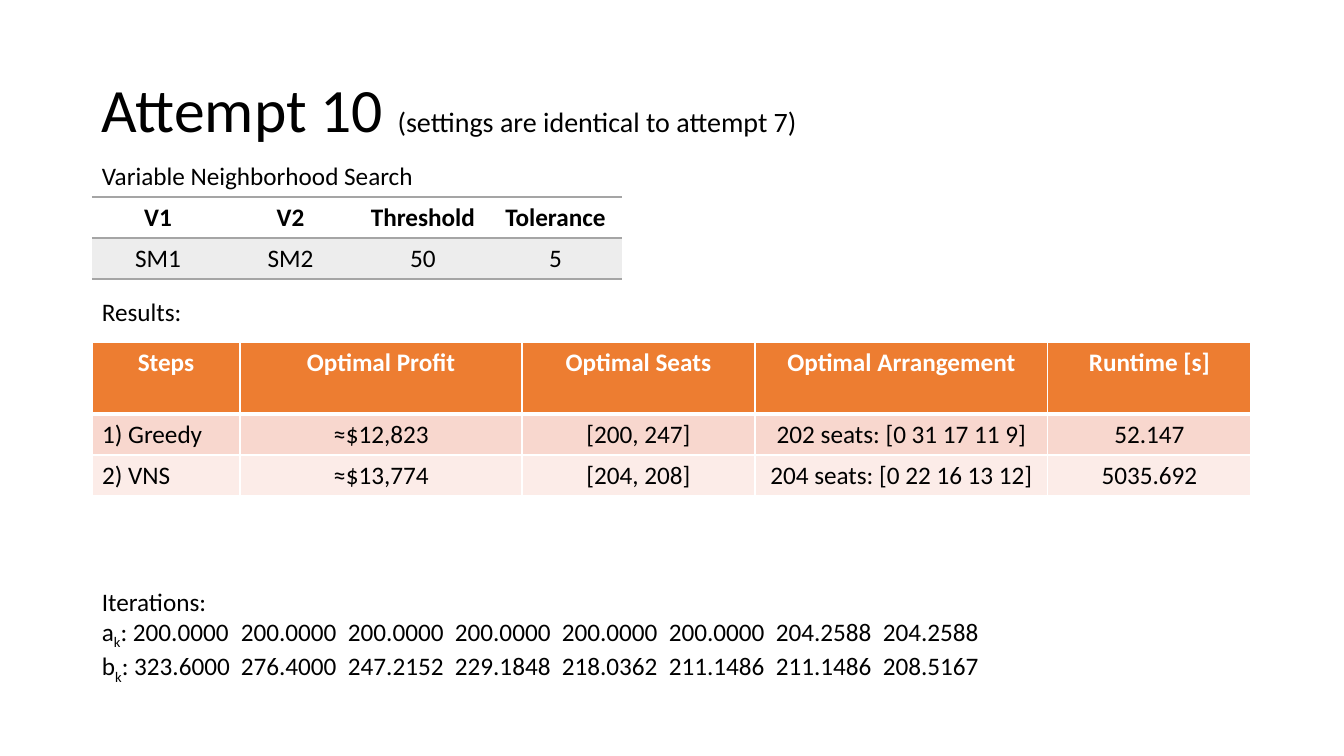
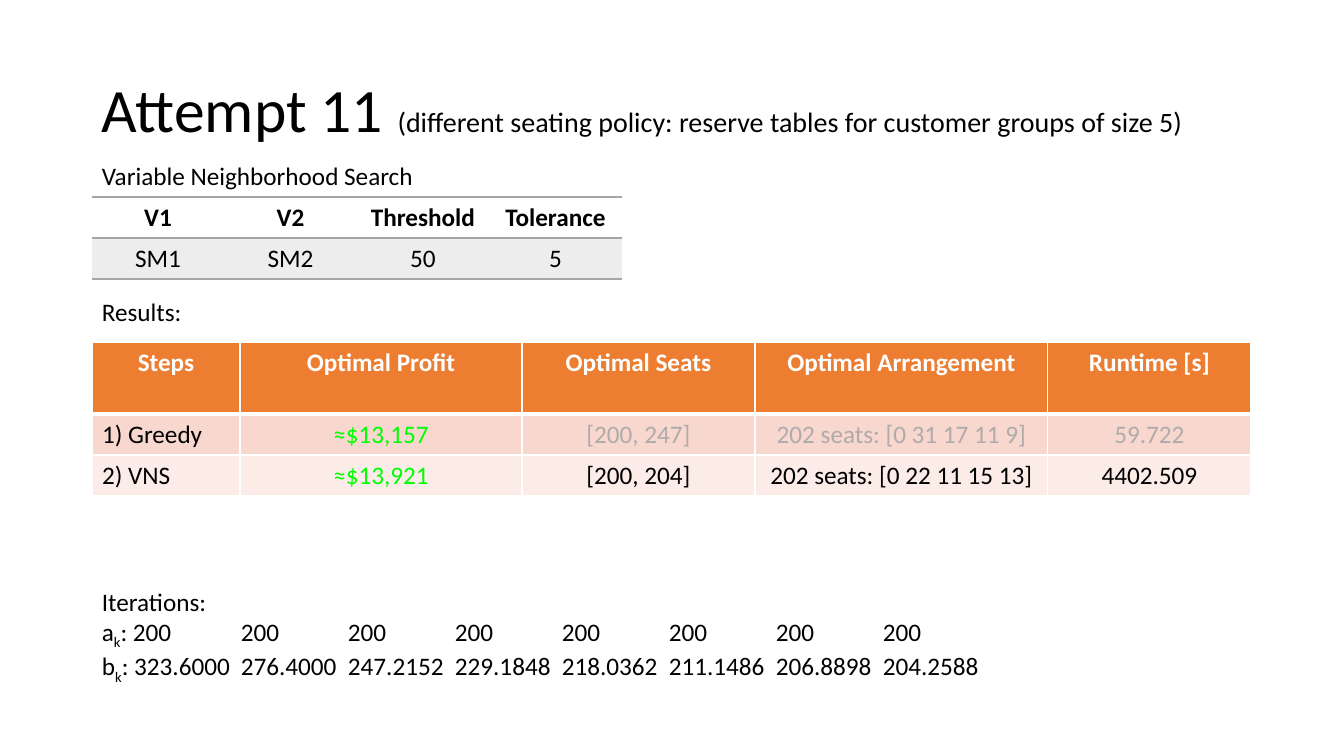
"""Build two slides that report the results of search attempts 10 and 11."""
from lxml import etree
from pptx import Presentation, util as u
from pptx.dml.color import RGBColor
from pptx.enum import text
from pptx.oxml import ns

PX = 9071
LEFT, WIDTH = 92, 1159
FONT = "Calibri"
BLACK = RGBColor(0x00, 0x00, 0x00)
WHITE = RGBColor(0xFF, 0xFF, 0xFF)
GREY = RGBColor(0xA5, 0xA5, 0xA5)
PALE_GREY = RGBColor(0xED, 0xED, 0xED)
FADED = RGBColor(0xAF, 0xAB, 0xAB)
GREEN = RGBColor(0x00, 0xFF, 0x00)
ORANGE = RGBColor(0xED, 0x7D, 0x31)
PEACH = RGBColor(0xF8, 0xD7, 0xCE)
PALE_PEACH = RGBColor(0xFC, 0xEC, 0xE8)
PLAIN_TABLE = "{2D5ABB26-0587-4C30-8999-92F81FD0307C}"

SETTINGS = [("V1", "V2", "Threshold", "Tolerance"), ("SM1", "SM2", "50", "5")]
SETTING_LOOKS = [(None, {"T": 1, "B": 1}), (PALE_GREY, {"T": 1, "B": 1})]
RESULT_HEADER = ("Steps", "Optimal Profit", "Optimal Seats", "Optimal Arrangement", "Runtime [s]")
RESULT_LOOKS = [
    (ORANGE, {"L": 1, "R": 1, "T": 1, "B": 3}),
    (PEACH, {"L": 1, "R": 1, "T": 3, "B": 1}),
    (PALE_PEACH, {"L": 1, "R": 1, "T": 1, "B": 1}),
]
ATTEMPTS = [
    {
        "title": ("Attempt 10 ", "(settings are identical to attempt 7)"),
        "rows": [
            ("1) Greedy", "≈$12,823", "[200, 247]", "202 seats: [0 31 17 11 9]", "52.147"),
            ("2) VNS", "≈$13,774", "[204, 208]", "204 seats: [0 22 16 13 12]", "5035.692"),
        ],
        "colours": [[BLACK] * 5] * 2,
        "a": ["200.0000"] * 6 + ["204.2588"] * 2,
        "b": ["323.6000", "276.4000", "247.2152", "229.1848",
              "218.0362", "211.1486", "211.1486", "208.5167"],
    },
    {
        "title": ("Attempt 11 ",
                  "(different seating policy: reserve tables for customer groups of size 5)"),
        "rows": [
            ("1) Greedy", "≈$13,157", "[200, 247]", "202 seats: [0 31 17 11 9]", "59.722"),
            ("2) VNS", "≈$13,921", "[200, 204]", "202 seats: [0 22 11 15 13]", "4402.509"),
        ],
        "colours": [[BLACK, GREEN] + [FADED] * 3, [BLACK, GREEN] + [BLACK] * 3],
        "a": ["200"] * 8,
        "b": ["323.6000", "276.4000", "247.2152", "229.1848",
              "218.0362", "211.1486", "206.8898", "204.2588"],
    },
]


def add_text(page, top, width, height, lines, anchor=text.MSO_ANCHOR.TOP, spacing=None):
    """Add a text box whose lines are lists of (words, size, baseline)."""
    box = page.shapes.add_textbox(LEFT * PX, top * PX, width * PX, height * PX)
    frame = box.text_frame
    frame.word_wrap = True
    frame.vertical_anchor = anchor
    for index, line in enumerate(lines):
        para = frame.paragraphs[0] if index == 0 else frame.add_paragraph()
        para.font.name = FONT
        para.font.color.rgb = BLACK
        if spacing:
            para.line_spacing = spacing
        for words, size, baseline in line:
            span = para.add_run()
            span.text = words
            span.font.size = u.Pt(size)
            if baseline:
                span.font._element.set("baseline", str(baseline))
        stops = line[-1][0].count("\t")
        if stops:
            tabs = etree.Element(ns.qn("a:tabLst"))
            for stop in range(stops):
                etree.SubElement(tabs, ns.qn("a:tab"), pos=str((139 + 107 * stop) * PX), algn="l")
            para._p.get_or_add_pPr().insert(0, tabs)


def add_grid(page, top, widths, heights, rows, colours, looks, line_colour, first_align):
    """Add a table with one (fill, border widths) look per row."""
    grid = page.shapes.add_table(len(rows), len(widths), LEFT * PX, top * PX,
                                 sum(widths) * PX, sum(heights) * PX).table
    grid._tbl.tblPr.find(ns.qn("a:tableStyleId")).text = PLAIN_TABLE
    for column, width in zip(grid.columns, widths):
        column.width = width * PX
    for r, (height, (fill, borders)) in enumerate(zip(heights, looks)):
        grid.rows[r].height = height * PX
        for c, words in enumerate(rows[r]):
            cell = grid.cell(r, c)
            for side, points in borders.items():
                line = etree.SubElement(cell._tc.get_or_add_tcPr(), ns.qn("a:ln" + side),
                                        w=str(u.Pt(points)))
                solid = etree.SubElement(line, ns.qn("a:solidFill"))
                etree.SubElement(solid, ns.qn("a:srgbClr"), val=str(line_colour))
            if fill is None:
                cell.fill.background()
            else:
                cell.fill.solid()
                cell.fill.fore_color.rgb = fill
            cell.text = words
            para = cell.text_frame.paragraphs[0]
            para.alignment = first_align if r and c == 0 else text.PP_ALIGN.CENTER
            para.font.name = FONT
            para.font.size = u.Pt(18)
            para.font.bold = r == 0
            para.font.color.rgb = colours[r][c]


deck = Presentation()
deck.slide_width, deck.slide_height = 1344 * PX, 756 * PX

for attempt in ATTEMPTS:
    page = deck.slides.add_slide(deck.slide_layouts[6])
    name, remark = attempt["title"]
    add_text(page, 40, WIDTH, 146, [[(name, 44, 0), (remark, 20, 0)]],
             text.MSO_ANCHOR.MIDDLE, 0.9)
    add_grid(page, 197, [132, 133, 132, 133], [41, 41], SETTINGS, [[BLACK] * 4] * 2,
             SETTING_LOOKS, GREY, text.PP_ALIGN.CENTER)
    add_grid(page, 342, [148, 282, 233, 293, 203], [72, 41, 41],
             [RESULT_HEADER] + attempt["rows"], [[WHITE] * 5] + attempt["colours"],
             RESULT_LOOKS, WHITE, text.PP_ALIGN.LEFT)
    for top, label in ((155, "Variable Neighborhood Search"), (291, "Results:")):
        add_text(page, top, 411, 40, [[(label, 18, 0)]])
    iterations = [[("Iterations:", 18, 0)]]
    for letter in "ab":
        values = ": " + "\t".join(attempt[letter])
        iterations.append([(letter, 18, 0), ("k", 18, -25000), (values, 18, 0)])
    add_text(page, 581, WIDTH, 102, iterations)

deck.save("out.pptx")
